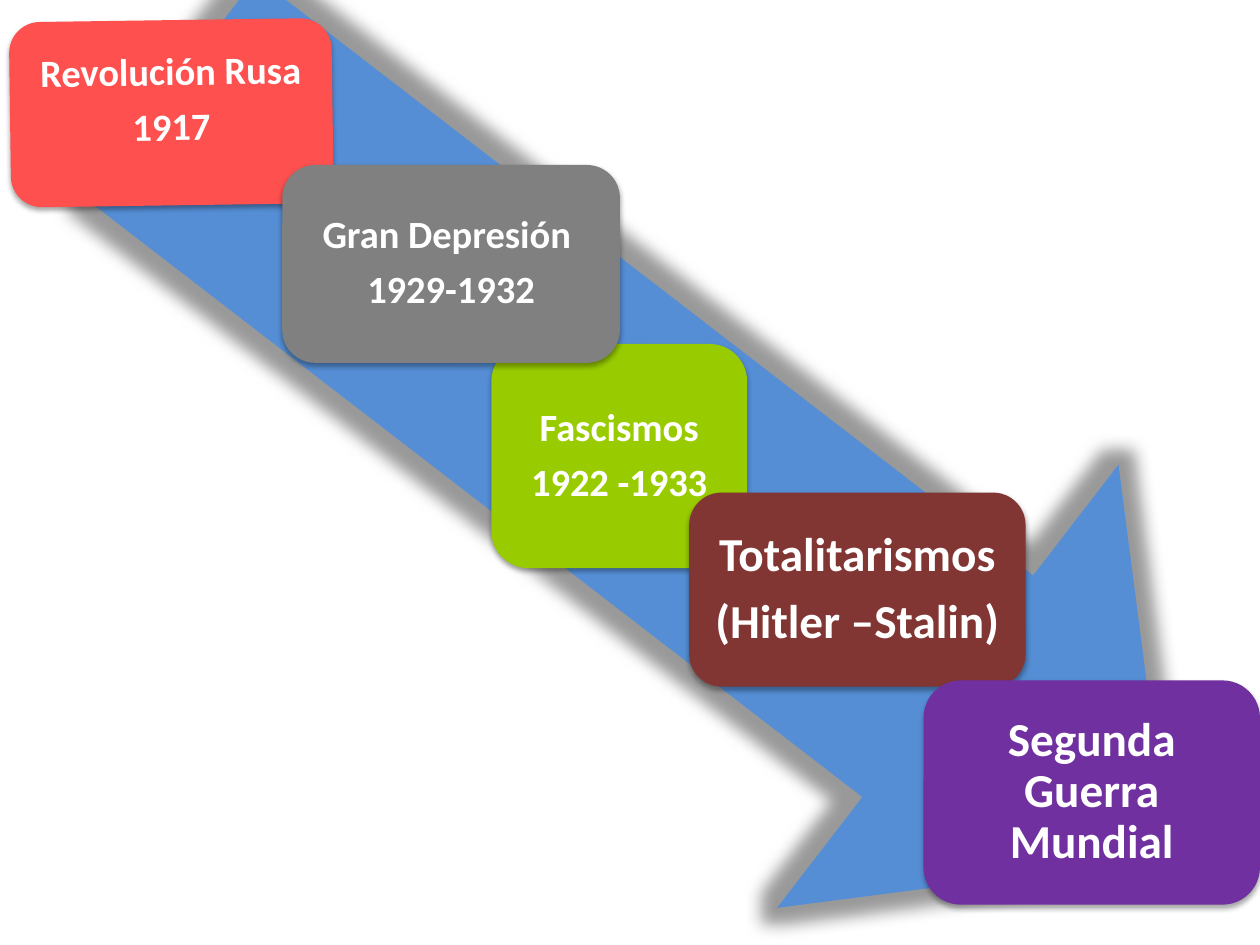
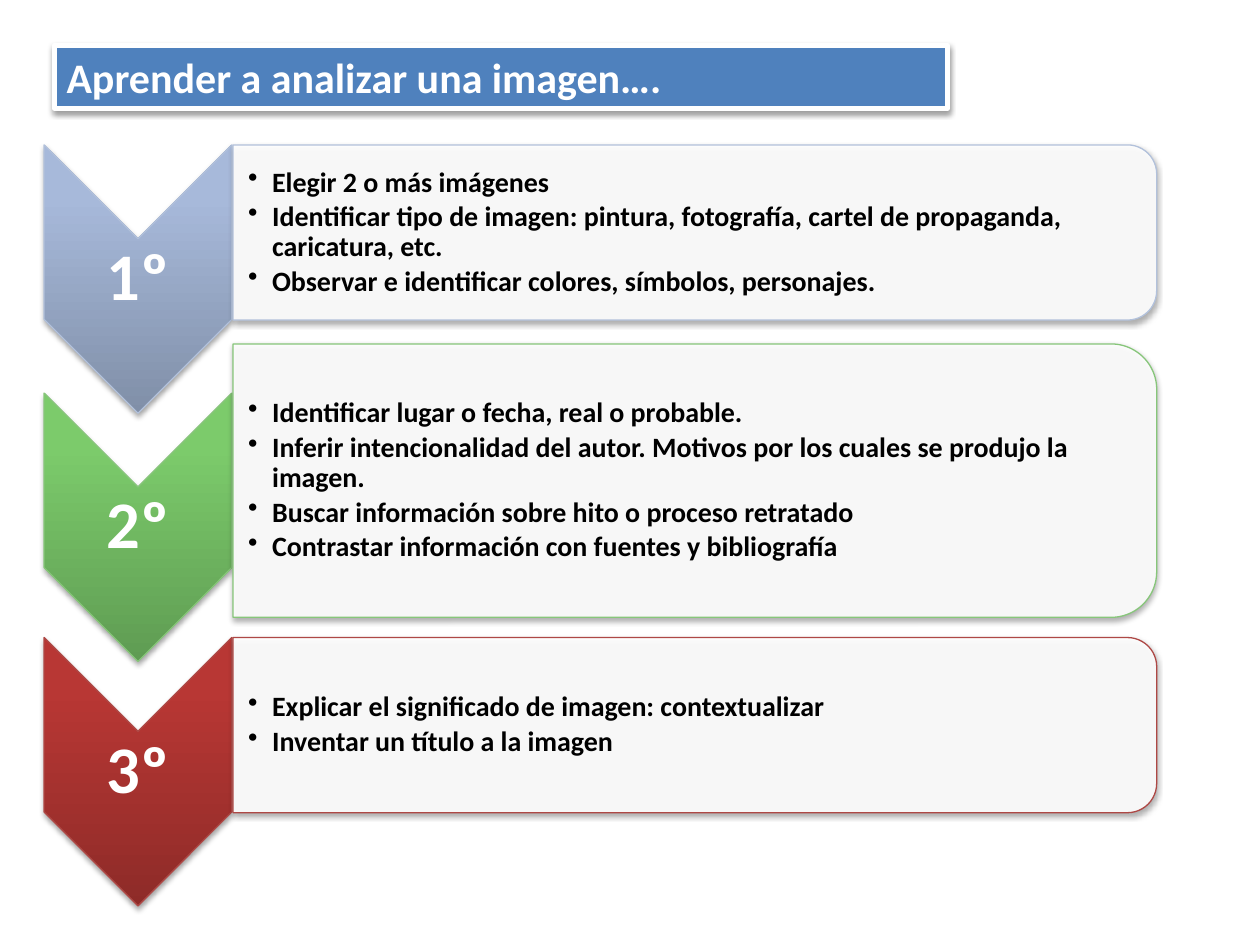
import lxml.etree
import pptx
import pptx.dml.color
import pptx.enum.shapes
import pptx.enum.text
import pptx.oxml.ns
import pptx.util

Inches = pptx.util.Inches
Pt = pptx.util.Pt
RGBColor = pptx.dml.color.RGBColor
SHAPE = pptx.enum.shapes.MSO_SHAPE
ALIGN = pptx.enum.text.PP_ALIGN
ANCHOR = pptx.enum.text.MSO_ANCHOR
qn = pptx.oxml.ns.qn

FONT = "Calibri"
WHITE = RGBColor(0xFF, 0xFF, 0xFF)
BLACK = RGBColor(0x00, 0x00, 0x00)
GREY = RGBColor(0x80, 0x80, 0x80)
ARROW_BLUE = RGBColor(0x55, 0x8E, 0xD5)
TITLE_BLUE = RGBColor(0x4F, 0x81, 0xBD)
LIME = RGBColor(0x99, 0xCC, 0x00)
CORAL = RGBColor(0xFF, 0x50, 0x50)
MAROON = RGBColor(0x82, 0x36, 0x34)
PURPLE = RGBColor(0x70, 0x30, 0xA0)
STEEL_DARK, STEEL, STEEL_LINE = RGBColor(0x80, 0x8F, 0xA8), RGBColor(0xA7, 0xB9, 0xDA), RGBColor(0xB2, 0xC1, 0xDB)
GREEN_DARK, GREEN, GREEN_LINE = RGBColor(0x5F, 0x9C, 0x53), RGBColor(0x7C, 0xCB, 0x6B), RGBColor(0x87, 0xC6, 0x7A)
RED_DARK, RED, RED_LINE = RGBColor(0x8E, 0x2B, 0x28), RGBColor(0xB8, 0x37, 0x34), RGBColor(0xAE, 0x48, 0x45)


def add_effect(shape, kind, color, opacity, **settings):
    shape.shadow.inherit = False
    effects = shape._element.spPr.find(qn("a:effectLst"))
    effect = lxml.etree.SubElement(effects, qn(kind), {name: str(value) for name, value in settings.items()})
    tint = lxml.etree.SubElement(effect, qn("a:srgbClr"), val=str(color))
    lxml.etree.SubElement(tint, qn("a:alpha"), val=str(opacity * 1000))


def write_text(shape, lines, size, color=WHITE, align=ALIGN.CENTER, gap=0.35, margins=(0.1, 0.1, 0.1, 0.1), bullets=False):
    frame = shape.text_frame
    frame.word_wrap = True
    frame.vertical_anchor = ANCHOR.MIDDLE
    frame.margin_left, frame.margin_top, frame.margin_right, frame.margin_bottom = map(Inches, margins)
    frame.text = "\n".join(lines)
    for para in frame.paragraphs:
        para.alignment = align
        if gap:
            para.line_spacing = 0.9
            para.space_after = Pt(round(size * gap, 1))
        if bullets:
            properties = para._p.get_or_add_pPr()
            properties.set("marL", str(Inches(0.19)))
            properties.set("indent", str(-Inches(0.19)))
            lxml.etree.SubElement(properties, qn("a:buChar"), char="•")
        para.font.name = FONT
        para.font.size = Pt(size)
        para.font.bold = True
        para.font.color.rgb = color


SOFT_SHADOW = dict(blurRad=Pt(3.1), dist=Pt(1.8), dir=5400000, algn="ctr", rotWithShape=0)

deck = pptx.Presentation()
deck.slide_width = Inches(10)
deck.slide_height = Inches(7.5)
blank = deck.slide_layouts[6]

page = deck.slides.add_slide(blank)
arrow = page.shapes.add_shape(SHAPE.RIGHT_ARROW, Inches(0.32), Inches(1.53), Inches(10), Inches(4.44))
arrow.rotation = 37.6
arrow.fill.solid()
arrow.fill.fore_color.rgb = ARROW_BLUE
arrow.line.fill.background()
add_effect(arrow, "a:glow", GREY, 80, rad=Pt(18))

EVENTS = [
    (3.9, 2.73, 2.03, 1.78, 0, LIME, 22, 0.09, ["Fascismos", "1922 -1933"]),
    (0.08, 0.16, 2.56, 1.47, 359.2, CORAL, 22, 0.28, ["Revolución Rusa", "1917"]),
    (2.24, 1.31, 2.68, 1.57, 0, GREY, 22, 0.09, ["Gran Depresión ", "1929-1932"]),
    (5.47, 3.91, 2.67, 1.54, 0, MAROON, 27, 0.09, ["Totalitarismos", "(Hitler –Stalin)"]),
    (7.33, 5.4, 2.67, 1.78, 0, PURPLE, 27, 0.09, ["Segunda Guerra Mundial"]),
]
for left, top, width, height, rotation, color, size, bottom, lines in EVENTS:
    card = page.shapes.add_shape(SHAPE.ROUNDED_RECTANGLE, Inches(left), Inches(top), Inches(width), Inches(height))
    card.rotation = rotation
    card.fill.solid()
    card.fill.fore_color.rgb = color
    card.line.fill.background()
    add_effect(card, "a:outerShdw", BLACK, 35, **SOFT_SHADOW)
    write_text(card, lines, size, margins=(0.09, 0.09, 0.09, bottom))

page = deck.slides.add_slide(blank)
CHEVRON_LEFT, CHEVRON_WIDTH, CHEVRON_HEIGHT = 0.35, 1.49, 2.13
LABEL_HEIGHT = 0.64
PANEL_LEFT, PANEL_WIDTH = 1.85, 7.33
STEPS = [
    ("1º", 1.15, 1.15, 1.39, 7.26, STEEL_DARK, STEEL, STEEL_LINE, [
        "Elegir 2 o más imágenes",
        "Identificar tipo de imagen: pintura, fotografía, cartel de propaganda, caricatura, etc.",
        "Observar e identificar colores, símbolos, personajes.",
    ]),
    ("2º", 3.12, 2.73, 2.17, 7.22, GREEN_DARK, GREEN, GREEN_LINE, [
        "Identificar lugar o fecha, real o probable.",
        "Inferir intencionalidad del autor. Motivos por los cuales se produjo la imagen.",
        "Buscar información sobre hito o proceso retratado",
        "Contrastar información con fuentes y bibliografía",
    ]),
    ("3º", 5.06, 5.06, 1.39, 7.26, RED_DARK, RED, RED_LINE, [
        "Explicar el significado de imagen: contextualizar",
        "Inventar un título a la imagen",
    ]),
]
for number, chevron_top, panel_top, panel_height, text_width, dark, light, edge, tasks in STEPS:
    turn = (CHEVRON_HEIGHT - CHEVRON_WIDTH) / 2
    chevron = page.shapes.add_shape(
        SHAPE.CHEVRON, Inches(CHEVRON_LEFT - turn), Inches(chevron_top + turn),
        Inches(CHEVRON_HEIGHT), Inches(CHEVRON_WIDTH))
    chevron.fill.gradient()
    chevron.fill.gradient_angle = 180
    start, end = chevron.fill.gradient_stops
    start.color.rgb, start.position = dark, 0
    end.color.rgb, end.position = light, 0.8

    label = page.shapes.add_textbox(
        Inches(CHEVRON_LEFT), Inches(chevron_top + (CHEVRON_HEIGHT - LABEL_HEIGHT) / 2),
        Inches(CHEVRON_WIDTH), Inches(LABEL_HEIGHT))
    write_text(label, [number], 38, margins=(0.03, 0.03, 0.03, 0.03))

    turn = (PANEL_WIDTH - panel_height) / 2
    panel = page.shapes.add_shape(
        SHAPE.ROUND_2_SAME_RECTANGLE, Inches(PANEL_LEFT + turn), Inches(panel_top - turn),
        Inches(panel_height), Inches(PANEL_WIDTH))
    panel.fill.solid()
    panel.fill.fore_color.rgb = WHITE
    tint = panel._element.spPr.find(qn("a:solidFill")).find(qn("a:srgbClr"))
    lxml.etree.SubElement(tint, qn("a:alpha"), val="90000")

    for shape in (chevron, panel):
        shape.rotation = 90
        shape.line.color.rgb = edge
        shape.line.width = Pt(0.75)
        add_effect(shape, "a:outerShdw", BLACK, 35, **SOFT_SHADOW)

    task_list = page.shapes.add_textbox(
        Inches(PANEL_LEFT), Inches(panel_top + 0.07), Inches(text_width), Inches(panel_height - 0.14))
    write_text(task_list, tasks, 16, BLACK, ALIGN.LEFT, 0.15, (0.12, 0.01, 0.01, 0.01), bullets=True)

title = page.shapes.add_shape(SHAPE.RECTANGLE, Inches(0.43), Inches(0.36), Inches(7.09), Inches(0.5))
title.fill.solid()
title.fill.fore_color.rgb = TITLE_BLUE
title.line.color.rgb = WHITE
title.line.width = Pt(3)
add_effect(title, "a:outerShdw", BLACK, 38, **SOFT_SHADOW)
write_text(title, ["Aprender a analizar una imagen…."], 24, align=ALIGN.LEFT, gap=0, margins=(0.1, 0.05, 0.1, 0.05))

deck.save("out.pptx")
